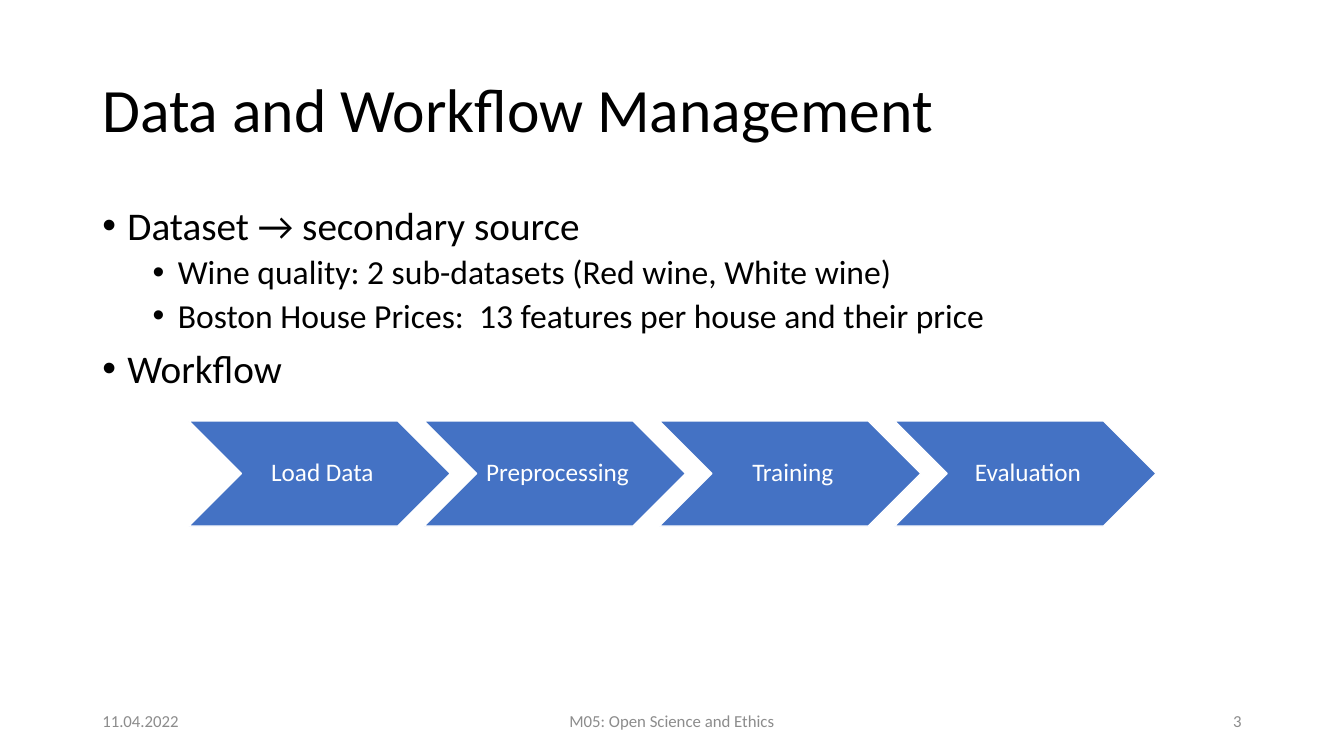
from lxml.etree import SubElement
from pptx import Presentation
from pptx.dml.color import RGBColor
from pptx.enum.shapes import MSO_SHAPE
from pptx.enum.text import MSO_ANCHOR, PP_ALIGN
from pptx.oxml.ns import qn
from pptx.util import Pt

PX = 9525
FONT = "Calibri"
BLACK = RGBColor(0x00, 0x00, 0x00)
WHITE = RGBColor(0xFF, 0xFF, 0xFF)
GREY = RGBColor(0x8C, 0x8C, 0x8C)
BLUE = RGBColor(0x44, 0x72, 0xC4)

POINTS = [
    (0, "Dataset → secondary source"),
    (1, "Wine quality: 2 sub-datasets (Red wine, White wine)"),
    (1, "Boston House Prices:  13 features per house and their price"),
    (0, "Workflow"),
]
LEVELS = [
    {"size": 28, "before": 10, "indent": 24},
    {"size": 24, "before": 5, "indent": 72},
]
STEPS = ["Load Data", "Preprocessing", "Training", "Evaluation"]


def scale(*sizes):
    """Turn px lengths into EMU."""
    return [size * PX for size in sizes]


def write(para, text, size=18, color=BLACK, align=PP_ALIGN.LEFT, line=0.9, before=0):
    """Put formatted text into a paragraph."""
    para.alignment = align
    para.line_spacing = line
    para.space_before = Pt(before)
    run = para.add_run()
    run.text = text
    run.font.name = FONT
    run.font.size = Pt(size)
    run.font.color.rgb = color


def bullet(para, indent):
    """Give a paragraph a hanging bullet at the indent."""
    props = para._p.get_or_add_pPr()
    props.set("marL", str(indent * PX))
    props.set("indent", str(-24 * PX))
    SubElement(props, qn("a:buFont")).set("typeface", "Arial")
    SubElement(props, qn("a:buChar")).set("char", "•")


def frame(slide, box, anchor=MSO_ANCHOR.MIDDLE):
    """Add a wrapping text box and return its frame."""
    area = slide.shapes.add_textbox(*scale(*box)).text_frame
    area.word_wrap = True
    area.vertical_anchor = anchor
    return area


def title(slide, box, text):
    """Draw the slide title."""
    write(frame(slide, box).paragraphs[0], text, size=44)


def body(slide, box, points):
    """Draw the bullet list."""
    area = frame(slide, box, MSO_ANCHOR.TOP)
    for i, (level, text) in enumerate(points):
        para = area.add_paragraph() if i else area.paragraphs[0]
        style = LEVELS[level]
        para.level = level
        write(para, text, size=style["size"], before=style["before"])
        bullet(para, style["indent"])


def workflow(slide, box, steps, overlap=25):
    """Draw the chain of chevrons, nested by the overlap."""
    left, top, width, height = box
    wide = (width + overlap * (len(steps) - 1)) // len(steps)
    for i, text in enumerate(steps):
        place = scale(left + i * (wide - overlap), top, wide, height)
        step = slide.shapes.add_shape(MSO_SHAPE.CHEVRON, *place)
        step.shadow.inherit = False
        step.fill.solid()
        step.fill.fore_color.rgb = BLUE
        step.line.color.rgb = WHITE
        step.line.width = Pt(1)
        area = step.text_frame
        area.word_wrap = True
        area.vertical_anchor = MSO_ANCHOR.MIDDLE
        area.margin_left = 8 * PX
        area.margin_top = area.margin_right = area.margin_bottom = 3 * PX
        write(area.paragraphs[0], text, color=WHITE, align=PP_ALIGN.CENTER)


def footer(slide, box, date, name, number):
    """Draw date, name and slide number along the bottom."""
    left, top, width, height = box
    side, mid = 288, 432
    parts = [
        (date, left, side, PP_ALIGN.LEFT),
        (name, left + (width - mid) // 2, mid, PP_ALIGN.CENTER),
        (number, left + width - side, side, PP_ALIGN.RIGHT),
    ]
    for text, start, wide, align in parts:
        para = frame(slide, (start, top, wide, height)).paragraphs[0]
        write(para, text, size=12, color=GREY, align=align, line=1.0)


def main():
    """Build and save the slide."""
    deck = Presentation()
    deck.slide_width, deck.slide_height = scale(1280, 720)
    slide = deck.slides.add_slide(deck.slide_layouts[6])
    title(slide, (88, 38, 1104, 139), "Data and Workflow Management")
    body(slide, (88, 192, 1104, 457), POINTS)
    footer(slide, (88, 667, 1104, 38), "11.04.2022", "M05: Open Science and Ethics", "3")
    workflow(slide, (180, 401, 921, 100), STEPS)
    deck.save("out.pptx")


if __name__ == "__main__":
    main()
